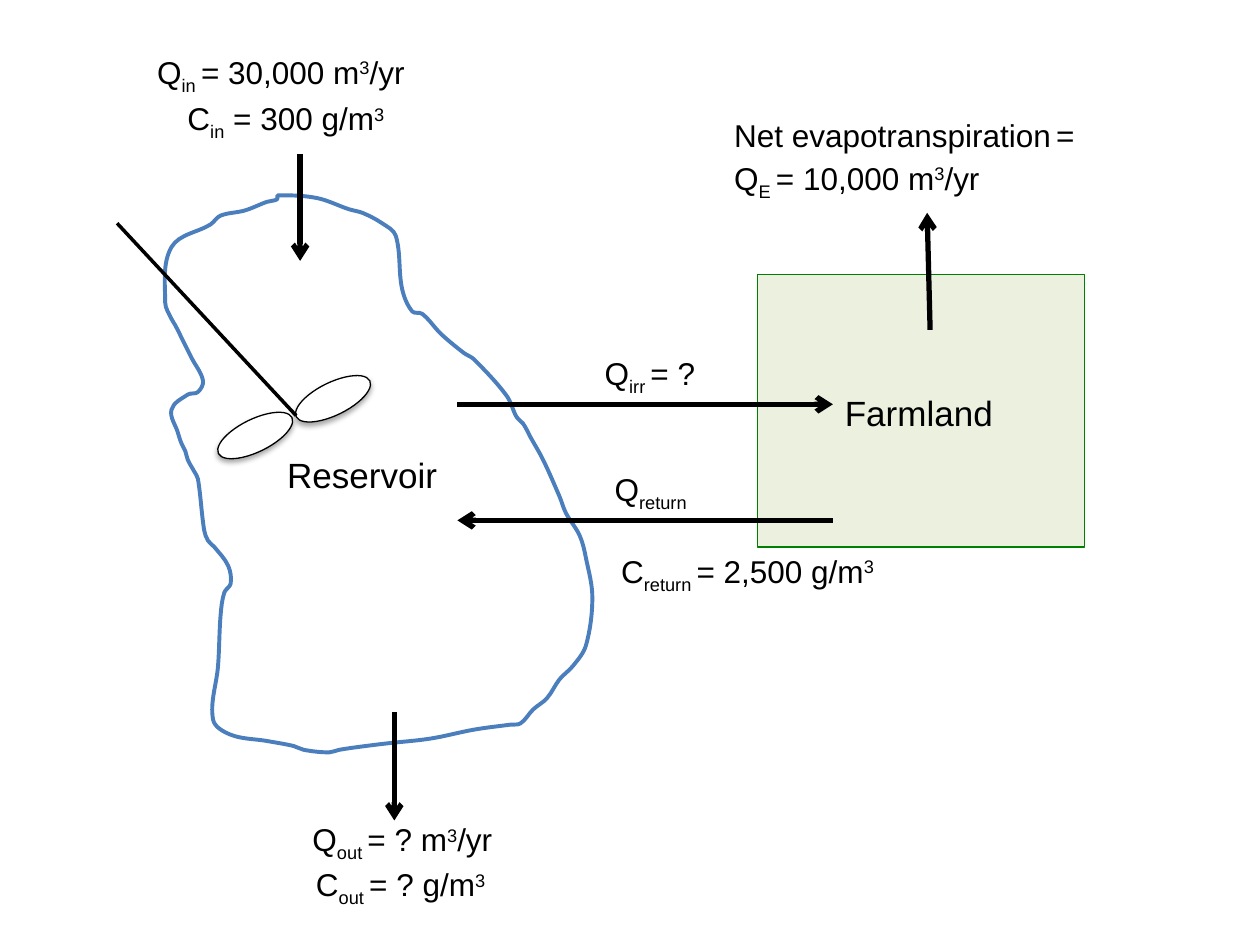
import math
import pptx
import pptx.util
import pptx.dml.color
import pptx.enum.shapes
import pptx.enum.text
import pptx.oxml
import pptx.oxml.ns
from pptx.util import Cm

COLORS = {"ink": "000000", "paper": "FFFFFF", "field": "EBF1DE",
          "field_edge": "008000", "water": "4B7EBC"}
BASELINES = {"_": "-25000", "^": "30000"}
OUTLINE_UNIT = 0.0254
FINENESS = 10
OUTLINE = [
    (89, 0), (120, 2), (146, 11), (157, 14), (172, 22), (183, 32), (188, 74),
    (196, 92), (204, 94), (219, 110), (237, 125), (245, 130), (271, 159),
    (279, 176), (284, 181), (290, 192), (300, 210), (313, 239), (318, 252),
    (329, 270), (334, 288), (339, 319), (334, 357), (324, 373), (313, 384),
    (303, 399), (292, 408), (282, 419), (274, 420), (245, 424), (211, 431),
    (175, 435), (159, 437), (138, 440), (130, 442), (110, 440), (102, 437),
    (81, 433), (52, 428), (38, 416), (42, 373), (44, 333), (47, 315),
    (52, 308), (50, 294), (39, 279), (34, 274), (31, 266), (26, 225),
    (23, 219), (18, 210), (16, 203), (13, 197), (10, 188), (5, 170),
    (18, 158), (26, 156), (30, 147), (21, 129), (16, 119), (8, 103), (5, 98),
    (0, 85), (5, 41), (36, 23), (44, 16), (63, 12), (81, 5), (89, 3),
]


def color(name):
    """Return the named colour."""
    return pptx.dml.color.RGBColor.from_string(COLORS[name])


def apply_format(target, values):
    """Set every attribute in the dict on the target."""
    for name, value in values.items():
        setattr(target, name, value)


def set_line(shape, name, points):
    """Give a shape or connector a solid line."""
    shape.line.color.rgb = color(name)
    shape.line.width = pptx.util.Pt(points)


def make_xml(tag, content=""):
    """Make a drawing element, given its tag with attributes."""
    namespace = pptx.oxml.ns.nsdecls("a")
    name = tag.split()[0]
    return pptx.oxml.parse_xml(f"<a:{tag} {namespace}>{content}</a:{name}>")


def add_label(slide, left, top, width, lines, size=18, centred=False):
    """Add text; parts split by | start with _ or ^ for sub- or superscript."""
    height = size * 0.05 * len(lines) + 0.12
    frame = slide.shapes.add_textbox(
        Cm(left), Cm(top), Cm(width), Cm(height)).text_frame
    apply_format(frame, {
        "word_wrap": True,
        "auto_size": pptx.enum.text.MSO_AUTO_SIZE.SHAPE_TO_FIT_TEXT})
    for index, line in enumerate(lines):
        paragraph = frame.add_paragraph() if index else frame.paragraphs[0]
        if centred:
            paragraph.alignment = pptx.enum.text.PP_ALIGN.CENTER
        for part in line.split("|"):
            baseline = BASELINES.get(part[0])
            run = paragraph.add_run()
            run.text = part[1:] if baseline else part
            apply_format(run.font, {"name": "Arial", "size": pptx.util.Pt(size)})
            run.font.color.rgb = color("ink")
            if baseline:
                run.font._element.set("baseline", baseline)


def add_line(shapes, start, end, points, arrow=False):
    """Draw a straight black line, with an arrowhead at its end if asked."""
    line = shapes.add_connector(
        pptx.enum.shapes.MSO_CONNECTOR.STRAIGHT,
        *[Cm(value) for value in (*start, *end)])
    set_line(line, "ink", points)
    if arrow:
        line.line._get_or_add_ln().append(make_xml('tailEnd type="arrow"'))
    line._element.spPr.append(make_xml("effectLst"))


def add_farmland(slide, left, top, width, height):
    """Draw the field and its name."""
    field = slide.shapes.add_shape(
        pptx.enum.shapes.MSO_SHAPE.RECTANGLE,
        Cm(left), Cm(top), Cm(width), Cm(height))
    field.shadow.inherit = False
    field.fill.solid()
    field.fill.fore_color.rgb = color("field")
    set_line(field, "field_edge", 0.75)
    add_label(slide, left + 1.11, top + 2.23, 4.29, ["Farmland"], 20, True)


def handle(points, index, length):
    """Return a point moved by a length along the outline's tangent."""
    before, after = points[index - 1], points[(index + 1) % len(points)]
    span = math.dist(before, after)
    return tuple(round(here + length * (b - a) / span)
                 for here, a, b in zip(points[index], before, after))


def round_corners(shape, points):
    """Turn the straight segments of a freeform into smooth curves."""
    segments = list(shape._element.iter(pptx.oxml.ns.qn("a:lnTo")))
    for index, segment in enumerate(segments[:len(points) - 1]):
        end = index + 1
        third = math.dist(points[index], points[end]) / 3
        stops = (handle(points, index, third), handle(points, end, -third),
                 points[end])
        content = "".join(f'<a:pt x="{x}" y="{y}"/>' for x, y in stops)
        segment.getparent().replace(segment, make_xml("cubicBezTo", content))


def add_reservoir(slide, left, top):
    """Draw the shoreline and the reservoir's name."""
    shore = [(x * FINENESS, y * FINENESS) for x, y in OUTLINE]
    builder = slide.shapes.build_freeform(
        *shore[0], scale=Cm(OUTLINE_UNIT) / FINENESS)
    builder.add_line_segments(shore[1:], close=True)
    reservoir = builder.convert_to_shape(Cm(left), Cm(top))
    round_corners(reservoir, shore)
    reservoir.shadow.inherit = False
    reservoir.fill.background()
    set_line(reservoir, "water", 2.25)
    add_label(slide, left + 2.21, top + 5.08, 4.29, ["Reservoir"], 20)


def add_mixer(slide, left, top):
    """Draw the stirrer: two blades and a shaft."""
    group = slide.shapes.add_group_shape()
    for x, y in ((1.96, 3.95), (3.53, 3.21)):
        blade = group.shapes.add_shape(
            pptx.enum.shapes.MSO_SHAPE.OVAL,
            Cm(left + x), Cm(top + y), Cm(1.65), Cm(0.66))
        blade.rotation = 334
        blade.fill.solid()
        blade.fill.fore_color.rgb = color("paper")
        set_line(blade, "ink", 0.75)
        blade._element.spPr.append(make_xml(
            "effectLst",
            '<a:outerShdw blurRad="39370" dist="22860" dir="5400000" '
            f'rotWithShape="0"><a:srgbClr val="{COLORS["ink"]}">'
            '<a:alpha val="35000"/></a:srgbClr></a:outerShdw>'))
    add_line(group.shapes, (left, top), (left + 3.61, top + 3.88), 2)


def add_flow(slide, left, top, start, end, labels):
    """Draw one flow: its arrow and labels, relative to the corner."""
    add_line(slide.shapes, (left + start[0], top + start[1]),
             (left + end[0], top + end[1]), 3, arrow=True)
    for x, y, width, *lines in labels:
        add_label(slide, left + x, top + y, width, lines)


FLOWS = [
    (9.22, 9.35, (7.57, 1.14), (0, 1.14), [
        (2.92, 0, 2.41, "Q|_return"),
        (3.05, 1.65, 6.43, "C|_return |= 2,500 g/m|^3")]),
    (6.05, 14.35, (1.9, 0), (1.9, 2.19), [
        (0, 2.06, 5.28, "Q|_out |= ? m|^3|/yr"),
        (0.07, 2.97, 5.28, "C|_out |= ? g/m|^3")]),
    (2.92, 0.94, (3.13, 2.16), (3.13, 4.32), [
        (0, 0, 6.45, "Q|_in |= 30,000 m|^3|/yr"),
        (0.61, 0.94, 5.28, "C|_in| = 300 g/m|^3")]),
    (14.55, 2.21, (4.2, 4.44), (4.14, 2.08), [
        (0, 0, 8.33, "Net evapotranspiration|_ |= ",
         "Q|_E |= 10,000 m|^3|/yr")]),
    (9.22, 7.01, (0, 1.14), (7.57, 1.14), [
        (2.72, 0, 2.62, "Q|_irr |= ?")]),
]

presentation = pptx.Presentation()
apply_format(presentation, {"slide_width": Cm(25.4), "slide_height": Cm(19.05)})
slide = presentation.slides.add_slide(presentation.slide_layouts[6])
add_farmland(slide, 15.27, 5.54, 6.6, 5.49)
add_reservoir(slide, 3.33, 3.94)
for flow in FLOWS:
    add_flow(slide, *flow)
add_mixer(slide, 2.36, 4.5)
presentation.save("out.pptx")
